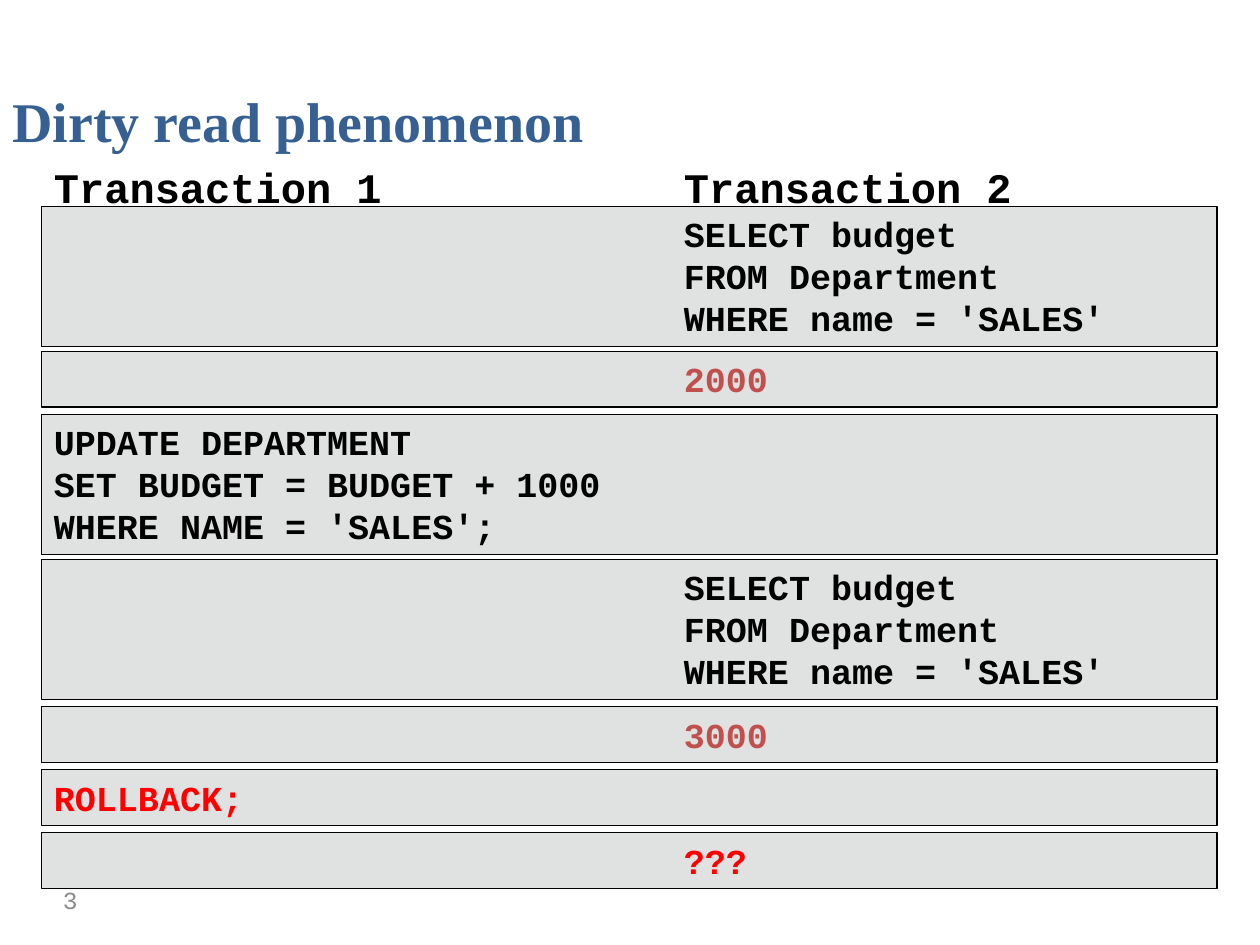
from pptx import Presentation
from pptx import util as u
from pptx.dml.color import RGBColor
from pptx.enum import shapes, text
from pptx.oxml.ns import qn
from lxml import etree

LEFT, WIDTH = 0.33, 9.33
SECOND_COLUMN = 5  # measured from the text's left edge
BLACK, RED, BRICK = "000000", "FF0000", "C0504D"


def color(value):
    return RGBColor.from_string(value)


def write(shape, lines, frame_format, font_format, line_height=None):
    """Fill the shape with one paragraph per line; tabs lead to the second column."""
    frame = shape.text_frame
    for name, value in frame_format.items():
        setattr(frame, name, value)
    for index, line in enumerate(lines):
        paragraph = frame.paragraphs[0] if index == 0 else frame.add_paragraph()
        paragraph.alignment = text.PP_ALIGN.LEFT
        if line_height:
            paragraph.line_spacing = u.Pt(line_height)
        if "\t" in line:
            tabs = etree.SubElement(paragraph._p.get_or_add_pPr(), qn("a:tabLst"))
            etree.SubElement(tabs, qn("a:tab"), pos=str(u.Inches(SECOND_COLUMN)), algn="l")
        run = paragraph.add_run()
        run.text = line
        for name, value in font_format.items():
            if name == "color":
                run.font.color.rgb = color(value)
            else:
                setattr(run.font, name, value)


presentation = Presentation()
presentation.slide_width, presentation.slide_height = u.Inches(10), u.Inches(7.5)
slide = presentation.slides.add_slide(presentation.slide_layouts[6])

code_font = {"name": "Courier New", "bold": True}
code_frame = {"word_wrap": True, "vertical_anchor": text.MSO_ANCHOR.TOP}

title = slide.shapes.add_textbox(u.Inches(0), u.Inches(0.62), u.Inches(10), u.Inches(0.67))
write(
    title,
    ["Dirty read phenomenon"],
    {"word_wrap": True, "vertical_anchor": text.MSO_ANCHOR.MIDDLE},
    {"name": "Times New Roman", "size": u.Pt(32), "bold": True, "color": "376092"},
)

# Steps in time order: top, text colour, lines
query = ["\tSELECT budget", "\tFROM Department", "\tWHERE name = 'SALES'"]
update = ["UPDATE DEPARTMENT", "SET BUDGET = BUDGET + 1000", "WHERE NAME = 'SALES';"]
steps = [
    (1.64, BLACK, query),
    (2.79, BRICK, ["\t2000"]),
    (3.29, BLACK, update),
    (4.44, BLACK, query),
    (5.61, BRICK, ["\t3000"]),
    (6.11, RED, ["ROLLBACK;"]),
    (6.61, RED, ["\t???"]),
]
for top, text_color, lines in steps:
    height = 0.44 if len(lines) == 1 else 1.11
    step = slide.shapes.add_shape(
        shapes.MSO_SHAPE.RECTANGLE,
        u.Inches(LEFT), u.Inches(top), u.Inches(WIDTH), u.Inches(height),
    )
    step.shadow.inherit = False
    step.fill.solid()
    step.fill.fore_color.rgb = color("E0E2E2")
    step.line.color.rgb = color(BLACK)
    step.line.width = u.Pt(0.75)
    write(step, lines, code_frame, {**code_font, "size": u.Pt(20), "color": text_color}, 24)

# Column headings lie in front of the first step, which their box overlaps
headings = slide.shapes.add_textbox(
    u.Inches(LEFT), u.Inches(1.23), u.Inches(WIDTH), u.Inches(0.5)
)
write(
    headings,
    ["Transaction 1\tTransaction 2"],
    code_frame,
    {**code_font, "size": u.Pt(24), "color": BLACK},
    28.8,
)

# Slide number
number = slide.shapes.add_textbox(u.Inches(0.5), u.Inches(7.06), u.Inches(0.4), u.Inches(0.21))
write(
    number,
    ["3"],
    {
        "word_wrap": True,
        "vertical_anchor": text.MSO_ANCHOR.MIDDLE,
        "margin_left": u.Inches(0),
        "margin_top": u.Inches(0),
        "margin_right": u.Inches(0.1),
        "margin_bottom": u.Inches(0.05),
    },
    {"name": "Courier New", "size": u.Pt(14), "color": "8B8B8B"},
)

presentation.save("out.pptx")
